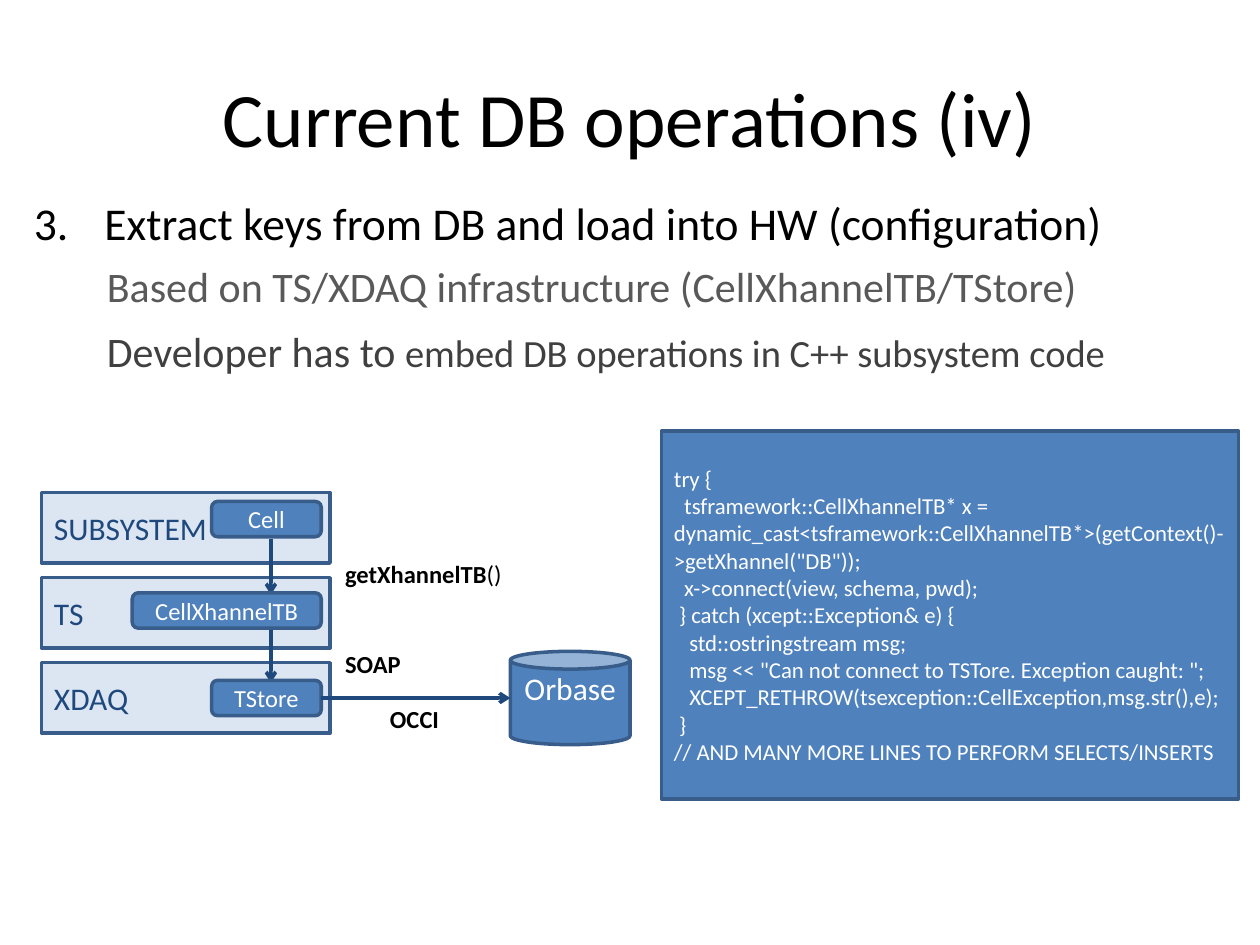
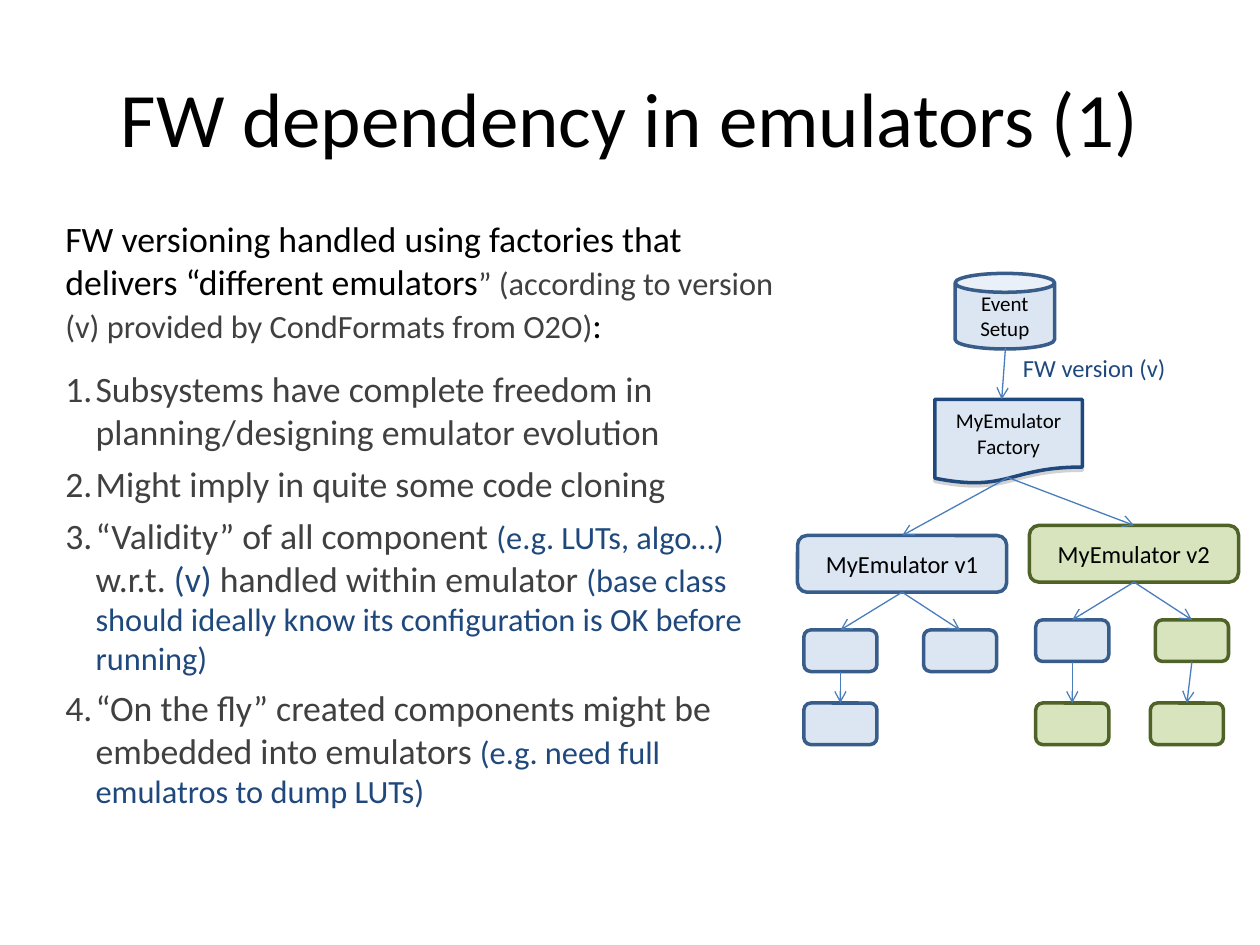
from lxml import etree
from pptx import Presentation
from pptx.dml.color import RGBColor
from pptx.enum.shapes import MSO_CONNECTOR, MSO_SHAPE
from pptx.enum.text import MSO_ANCHOR, PP_ALIGN
from pptx.oxml.ns import qn
from pptx.util import Inches, Pt

RECT, ROUND = MSO_SHAPE.RECTANGLE, MSO_SHAPE.ROUNDED_RECTANGLE
CAN, DOCUMENT = MSO_SHAPE.CAN, MSO_SHAPE.FLOWCHART_DOCUMENT
STRAIGHT = MSO_CONNECTOR.STRAIGHT
TOP, MIDDLE = MSO_ANCHOR.TOP, MSO_ANCHOR.MIDDLE
LEFT, CENTER = PP_ALIGN.LEFT, PP_ALIGN.CENTER
SITE_TOP, SITE_BOTTOM, SITE_RIGHT = 0, 2, 3

# Shared look
FONT = "Calibri"
BLACK = RGBColor(0x00, 0x00, 0x00)
WHITE = RGBColor(0xFF, 0xFF, 0xFF)
DARK_GREY = RGBColor(0x40, 0x40, 0x40)
GREY = RGBColor(0x59, 0x59, 0x59)
NAVY = RGBColor(0x1F, 0x49, 0x7D)
BLUE = RGBColor(0x4F, 0x81, 0xBD)
EDGE_BLUE = RGBColor(0x38, 0x5D, 0x8A)
PALE_BLUE = RGBColor(0xDC, 0xE6, 0xF2)
PALE_GREEN = RGBColor(0xD7, 0xE4, 0xBD)
EDGE_GREEN = RGBColor(0x4F, 0x62, 0x28)
ARROW_BLUE = RGBColor(0x4A, 0x7E, 0xBB)
SOLID = (BLUE, EDGE_BLUE)
PALE = (PALE_BLUE, EDGE_BLUE)
GREEN = (PALE_GREEN, EDGE_GREEN)
FACTORY = (PALE_BLUE, NAVY)

# Grid of square cells, ten across the slide
SLIDE_W, SLIDE_H = Inches(10), Inches(7.5)
CELL = SLIDE_W // 10

CODE = """try {
  tsframework::CellXhannelTB* x =  dynamic_cast<tsframework::CellXhannelTB*>(getContext()->getXhannel("DB"));
  x->connect(view, schema, pwd);
 } catch (xcept::Exception& e) {
   std::ostringstream msg;
   msg << "Can not connect to TSTore. Exception caught: ";
   XCEPT_RETHROW(tsexception::CellException,msg.str(),e);
 }
// AND MANY MORE LINES TO PERFORM SELECTS/INSERTS"""


def cells(*lengths):
    return [round(length * CELL) for length in lengths]


def style(run, size, color, bold=False):
    run.font.name = FONT
    run.font.size = Pt(size)
    run.font.color.rgb = color
    run.font.bold = bold


def label(sp, text, size, color, align=CENTER, anchor=MIDDLE, bold=False):
    """Fill a shape with text in a single style."""
    tf = sp.text_frame
    tf.word_wrap = True
    tf.vertical_anchor = anchor
    tf.text = text
    for p in tf.paragraphs:
        p.alignment = align
        for r in p.runs:
            style(r, size, color, bold)
    return tf


def text_box(s, box, text, size, color, **look):
    return label(s.shapes.add_textbox(*cells(*box)), text, size, color, **look)


def shape(s, kind, box, colors, text="", size=14, color=BLACK, **look):
    sp = s.shapes.add_shape(kind, *cells(*box))
    sp.shadow.inherit = False
    sp.fill.solid()
    sp.fill.fore_color.rgb, sp.line.color.rgb = colors
    sp.line.width = Pt(2)
    if text:
        label(sp, text, size, color, **look)
    return sp


def drop_shadow(sp):
    effects = sp.element.spPr.find(qn("a:effectLst"))
    shadow = etree.SubElement(effects, qn("a:outerShdw"), dist=str(Pt(1.8)),
                              dir="5400000", rotWithShape="0")
    color = etree.SubElement(shadow, qn("a:srgbClr"), val="808080")
    etree.SubElement(color, qn("a:alpha"), val="35000")


def locate(end):
    """Point of an arrow end: (x, y) in cells or (shape, site)."""
    sp, site = end
    if isinstance(sp, (int, float)):
        return cells(*end), False
    across, down = [(0.5, 0), (0, 0.5), (0.5, 1), (1, 0.5)][site]
    return (round(sp.left + across * sp.width),
            round(sp.top + down * sp.height)), True


def arrow(s, start, end, color=ARROW_BLUE, width=0.75):
    (begin, joins_begin), (finish, joins_end) = locate(start), locate(end)
    cx = s.shapes.add_connector(STRAIGHT, *begin, *finish)
    if joins_begin:
        cx.begin_connect(*start)
    if joins_end:
        cx.end_connect(*end)
    cx.line.color.rgb = color
    cx.line.width = Pt(width)
    spPr = cx.element.spPr
    etree.SubElement(spPr.find(qn("a:ln")), qn("a:tailEnd"), type="arrow")
    etree.SubElement(spPr, qn("a:effectLst"))


def number(p, hang, color, start=1):
    pPr = p._p.get_or_add_pPr()
    pPr.set("marL", str(Inches(hang)))
    pPr.set("indent", str(-Inches(hang)))
    clr = etree.SubElement(pPr, qn("a:buClr"))
    etree.SubElement(clr, qn("a:srgbClr"), val=str(color))
    etree.SubElement(pPr, qn("a:buFont"), typeface=FONT)
    etree.SubElement(pPr, qn("a:buAutoNum"), type="arabicPeriod",
                     startAt=str(start))


def body(s, box, paragraphs):
    """Write paragraphs of (space before, runs); return them for numbering."""
    tf = s.shapes.add_textbox(*cells(*box)).text_frame
    tf.word_wrap = True
    for i, (before, runs) in enumerate(paragraphs):
        p = tf.add_paragraph() if i else tf.paragraphs[0]
        for text, size, color in runs:
            r = p.add_run()
            r.text = text
            style(r, size, color)
        if before:
            p.space_before = Pt(before)
    return tf.paragraphs


def new_slide(prs, title):
    s = prs.slides.add_slide(prs.slide_layouts[6])
    text_box(s, (0.5, 0.3, 9, 1.25), title, 44, BLACK)
    return s


def db_operations(prs):
    s = new_slide(prs, "Current DB operations (iv)")
    heading, *details = body(s, (0.17, 1.5, 9.5, 1.7), [
        (0, [("Extract keys from DB and load into HW (configuration)", 26, BLACK)]),
        (6, [("Based on TS/XDAQ infrastructure (CellXhannelTB/TStore)", 24, GREY)]),
        (8.5, [("Developer has to ", 24, DARK_GREY),
               ("embed DB operations in C++ subsystem code", 22, DARK_GREY)]),
    ])
    number(heading, 0.56, BLACK, start=3)
    for p in details:
        p._p.get_or_add_pPr().set("marL", str(Inches(0.58)))

    shape(s, RECT, (5.25, 3.42, 4.58, 2.92), SOLID, CODE, 13, WHITE, align=LEFT)

    # Database
    database = shape(s, CAN, (4.05, 5.17, 0.95, 0.74), SOLID, "Orbase", 18,
                     WHITE, anchor=TOP)
    database.adjustments[0] = 0.19
    database.text_frame.margin_top = 0

    # Software layers, each with a component at its right end
    layers = [("SUBSYSTEM", "Cell", 0.87, 0.07),
              ("TS", "CellXhannelTB", 1.5, 0.12),
              ("XDAQ", "TStore", 0.87, 0.14)]
    tops = [3.91 + 0.675 * i for i in range(len(layers))]
    for top, (layer, *_) in zip(tops, layers):
        shape(s, RECT, (0.33, top, 2.29, 0.56), PALE, layer, 18, NAVY, align=LEFT)
    for y in (4.28, 4.98):
        arrow(s, (2.15, y), (2.15, y + 0.44), NAVY, 2)
    for top, (_, part, width, drop) in zip(tops, layers):
        component = shape(s, ROUND, (2.55 - width, top + drop, width, 0.28),
                          SOLID, part, 14, WHITE)
    arrow(s, (component, SITE_RIGHT), (4.05, 5.54), NAVY, 2)

    # Calls between layers
    for left, top, call, align in [(2.64, 4.39, "getXhannelTB", LEFT),
                                   (2.64, 5.1, "SOAP", LEFT),
                                   (2.56, 5.54, "OCCI", CENTER)]:
        tf = text_box(s, (left, top, 1.46, 0.34), call, 14, BLACK,
                      align=align, anchor=TOP, bold=True)
        if call == "getXhannelTB":
            r = tf.paragraphs[0].add_run()
            r.text = "()"
            style(r, 14, BLACK)


def emulator(s, name, left, top, colors, branches):
    """Draw an emulator and its components: (colours, leaf offset, leaf colours)."""
    root = shape(s, ROUND, (left, top, 1.66, 0.45), colors, name)
    arrow(s, (8, 3.79), (root, SITE_TOP))
    for i, (part_colors, leaf_left, leaf_colors) in enumerate(branches):
        part = shape(s, ROUND, (left + 0.05 + 0.95 * i, top + 0.75, 0.58, 0.33),
                     part_colors)
        arrow(s, (root, SITE_BOTTOM), (part, SITE_TOP))
        if leaf_colors:
            leaf = shape(s, ROUND, (left + leaf_left, 5.58, 0.58, 0.33), leaf_colors)
            arrow(s, (part, SITE_BOTTOM), (leaf, SITE_TOP))


def fw_dependency(prs):
    s = new_slide(prs, "FW dependency in emulators (1)")
    big, small = 20.4, 18.5
    _, *points = body(s, (0.42, 1.67, 5.92, 5.17), [
        (0, [("FW versioning handled using factories that delivers "
              "“different emulators", big, BLACK),
             ("” (according to version (v) provided by CondFormats from O2O)",
              small, DARK_GREY),
             (":", big, BLACK)]),
        (12.3, [("Subsystems have complete freedom in planning/designing "
                 "emulator evolution", big, DARK_GREY)]),
        (5.5, [("Might imply in quite some code cloning", big, DARK_GREY)]),
        (5, [("“Validity” of all component ", big, DARK_GREY),
             ("(e.g. LUTs, algo…) ", small, NAVY),
             ("w.r.t. ", big, DARK_GREY),
             ("(v) ", big, NAVY),
             ("handled within emulator ", big, DARK_GREY),
             ("(base class should ideally know its configuration is OK "
              "before running)", small, NAVY)]),
        (5, [("“On the fly” created components might be embedded into "
              "emulators ", big, DARK_GREY),
             ("(e.g. need full emulatros to dump LUTs)", small, NAVY)]),
    ])
    for p in points:
        number(p, 0.24, DARK_GREY)

    # Event setup feeding the factory
    shape(s, CAN, (7.58, 2.17, 0.79, 0.6), PALE, "Event\nSetup", 12)
    factory = shape(s, DOCUMENT, (7.42, 3.17, 1.17, 0.67), FACTORY,
                    "MyEmulator\nFactory", 12)
    drop_shadow(factory)
    arrow(s, (7.98, 2.76), (7.95, 3.17))
    text_box(s, (7.96, 2.75, 1.45, 0.34), "FW version (v)", 14, NAVY, anchor=TOP)

    # Emulator versions
    emulator(s, "MyEmulator v1", 6.33, 4.25, PALE,
             [(PALE, 0.05, PALE), (PALE, 0, None)])
    emulator(s, "MyEmulator v2", 8.17, 4.17, GREEN,
             [(PALE, 0.05, GREEN), (GREEN, 0.96, GREEN)])


def main():
    prs = Presentation()
    prs.slide_width, prs.slide_height = SLIDE_W, SLIDE_H
    db_operations(prs)
    fw_dependency(prs)
    prs.save("out.pptx")


if __name__ == "__main__":
    main()
